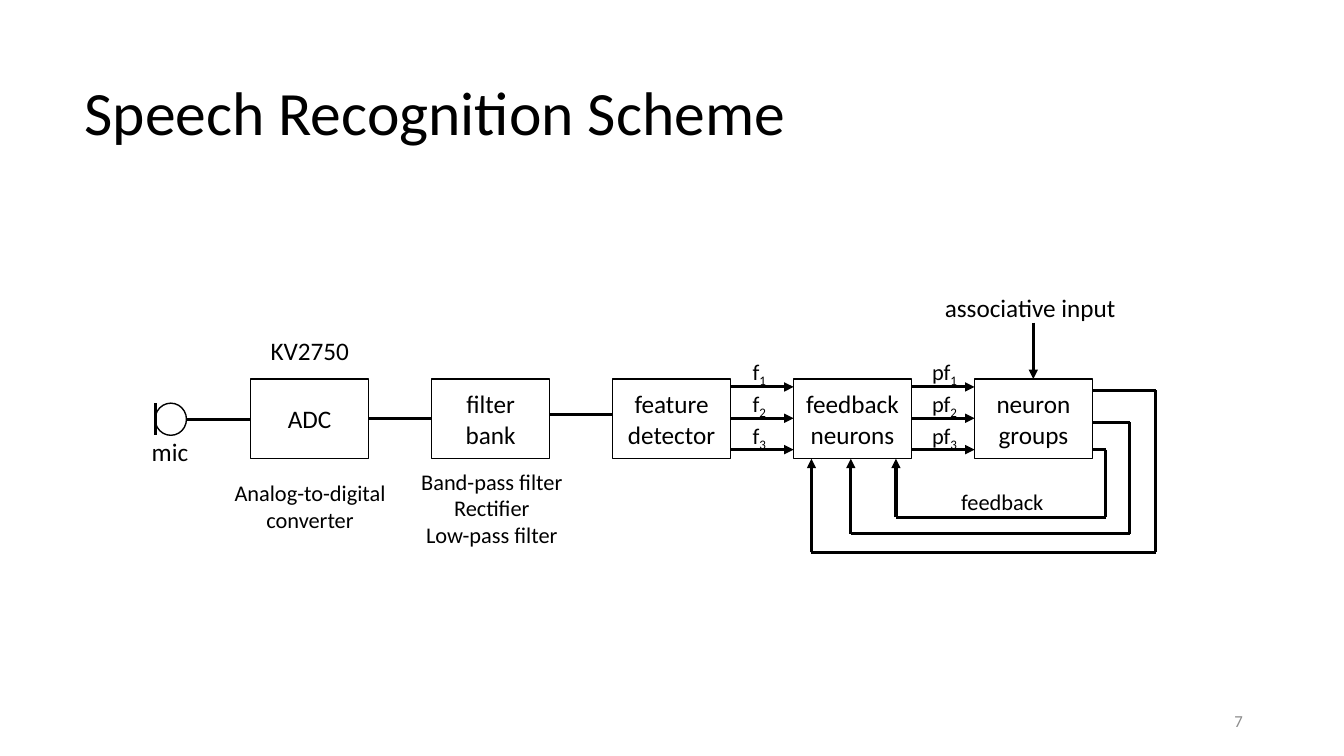
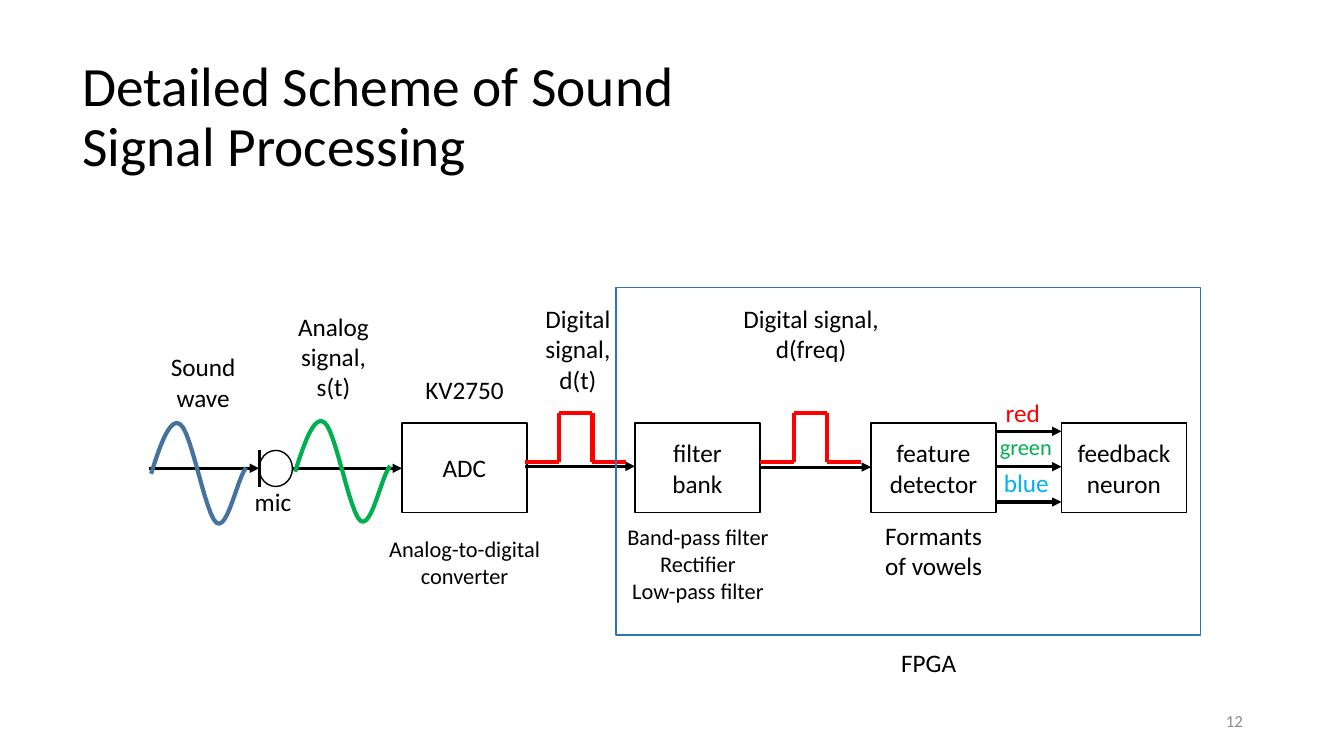
from dataclasses import dataclass
from itertools import pairwise

from lxml.etree import SubElement
from pptx import Presentation
from pptx.dml.color import RGBColor
from pptx.enum.shapes import MSO_CONNECTOR as CONN, MSO_SHAPE as SHAPE
from pptx.enum.text import MSO_ANCHOR as ANCHOR, PP_ALIGN as ALIGN
from pptx.oxml.ns import qn
from pptx.util import Cm, Pt


@dataclass(frozen=True)
class Theme:
    """Colours, type sizes and line widths of the deck."""
    font: str = "Calibri"
    black: str = "000000"
    gray: str = "8C8C8C"
    red: str = "FF0000"
    green: str = "00B050"
    sky: str = "00B0F0"
    wave_blue: str = "43739E"
    frame_blue: str = "2E75B6"
    body: float = 18
    small: float = 16
    number: float = 12
    thin: float = 1
    wire: float = 2.25
    signal: float = 3


T = Theme()
CHIP = "KV2750"
CONVERTER = "Analog-to-digital converter"
FILTERS = "Band-pass filter\nRectifier\nLow-pass filter"
FILTER_INSET = 0.7

# Cubic curve of one sound period: start point, then three points a segment
WAVE = [(0, 0), (0.23, -0.74), (0.48, -1.45), (0.74, -1.24), (1.02, -1.04),
        (1.37, 1.04), (1.65, 1.24), (1.93, 1.42), (2.16, 0.15), (2.39, -0.15)]
PULSE = [(0, 0), (0.86, 0), (0.86, -1.24), (1.7, -1.24), (1.7, 0), (2.54, 0)]


def add_run(p, text, size, color=T.black, subscript=False):
    """Append one formatted run to a paragraph."""
    r = p.add_run()
    r.text = text
    r.font.name, r.font.size = T.font, Pt(size)
    r.font.color.rgb = RGBColor.from_string(color)
    if subscript:
        r._r.get_or_add_rPr().set("baseline", "-25000")


def add_label(s, at, text, size=T.body, color=T.black, wrap=False,
              sub="", align=ALIGN.CENTER, anchor=ANCHOR.TOP, spacing=None):
    """Add a text box, one paragraph a line, with an optional subscript."""
    tf = s.shapes.add_textbox(*map(Cm, at)).text_frame
    tf.word_wrap, tf.vertical_anchor = wrap, anchor
    for i, line in enumerate(text.split("\n")):
        p = tf.add_paragraph() if i else tf.paragraphs[0]
        p.alignment, p.line_spacing = align, spacing
        add_run(p, line, size, color)
    if sub:
        add_run(p, sub, size, color, subscript=True)


def add_outline(s, kind, at, color=T.black):
    """Add an unfilled preset shape with a thin line."""
    sp = s.shapes.add_shape(kind, *map(Cm, at))
    sp.shadow.inherit = False
    sp.fill.background()
    sp.line.color.rgb = RGBColor.from_string(color)
    sp.line.width = Pt(T.thin)
    return sp


def add_block(s, at, text, inset=0):
    """Add a block of the diagram with its centred name."""
    tf = add_outline(s, SHAPE.RECTANGLE, at).text_frame
    tf.word_wrap, tf.vertical_anchor = True, ANCHOR.MIDDLE
    tf.margin_left = tf.margin_right = Cm(inset)
    tf.margin_top = tf.margin_bottom = 0
    p = tf.paragraphs[0]
    p.alignment = ALIGN.CENTER
    add_run(p, text, T.body)


def add_wire(s, points, color=T.black, width=T.wire, arrow=False):
    """Join points with straight connectors; the last may get an arrowhead."""
    for start, end in pairwise(points):
        c = s.shapes.add_connector(CONN.STRAIGHT, *map(Cm, start + end))
        c.line.color.rgb = RGBColor.from_string(color)
        c.line.width = Pt(width)
        if arrow and end == points[-1]:
            SubElement(c.line._get_or_add_ln(), qn("a:tailEnd"), type="triangle")
        SubElement(c._element.spPr, qn("a:effectLst"))


def add_arrows(s, left, right, top, pitch):
    """Add three parallel arrows."""
    for i in range(3):
        y = top + i * pitch
        add_wire(s, [(left, y), (right, y)], arrow=True)


def add_mic(s, x, y, w, h):
    """Add the microphone symbol."""
    add_outline(s, SHAPE.OVAL, (x, y, w, h))
    add_wire(s, [(x, y), (x, y + h)])


def bezier(a, b, c, d, t):
    """Return the point of a cubic curve at t."""
    u = 1 - t
    return tuple(u**3 * i + 3 * u * u * t * j + 3 * u * t * t * k + t**3 * m
                 for i, j, k, m in zip(a, b, c, d))


def add_wave(s, x, y, color):
    """Add one period of a sound wave that starts at x, y."""
    curve = [bezier(*WAVE[i:i + 4], step / 12)
             for i in (0, 3, 6) for step in range(1, 13)]
    points = [(Cm(x + dx), Cm(y + dy)) for dx, dy in curve]
    builder = s.shapes.build_freeform(Cm(x), Cm(y))
    builder.add_line_segments(points, close=False)
    sp = builder.convert_to_shape()
    sp.shadow.inherit = False
    sp.fill.background()
    sp.line.color.rgb = RGBColor.from_string(color)
    sp.line.width = Pt(T.signal)


def add_pulse(s, x, y):
    """Add a digital pulse that starts at x, y."""
    add_wire(s, [(x + dx, y + dy) for dx, dy in PULSE], T.red, T.signal)


def new_slide(prs, title, at, size, number):
    """Add a blank slide with a title and a slide number."""
    s = prs.slides.add_slide(prs.slide_layouts[6])
    add_label(s, at, title, size, wrap=True, align=ALIGN.LEFT,
              anchor=ANCHOR.MIDDLE, spacing=0.9)
    add_label(s, (23.95, 17.65, 7.62, 1.02), number, T.number, T.gray,
              wrap=True, align=ALIGN.RIGHT, anchor=ANCHOR.MIDDLE)
    return s


def recognition_slide(prs):
    """Build the speech recognition scheme."""
    s = new_slide(prs, "Speech Recognition Scheme",
                  (1.88, 1.07, 29.21, 3.68), 44, "7")
    top, w, h = 9.55, 2.97, 2.01
    names = ["ADC", "filter bank", "feature detector", "feedback neurons",
             "neuron groups"]
    lefts = [6.32 + 4.56 * i for i in range(len(names))]
    adc, bank, detector, feedback, groups = lefts
    for x, name in zip(lefts, names):
        add_block(s, (x, top, w, h), name,
                  FILTER_INSET if x == bank else 0)

    add_mic(s, 3.91, 10.16, 0.79, 0.81)
    for left, right, y in [(4.7, adc, 10.57), (adc + w, bank, 10.54),
                           (bank + w, detector, 10.44)]:
        add_wire(s, [(left, y), (right, y)])
    for left, right, x, label_w, name in [
            (detector + w, feedback, 18.69, 0.89, "f"),
            (feedback + w, groups, 23.22, 1.17, "pf")]:
        add_arrows(s, left, right, 9.75, 0.79)
        for i in range(3):
            add_label(s, (x, 8.89 + 0.81 * i, label_w, 0.94), name, T.small,
                      sub=str(i + 1))
    for left, bottom, right, y in [(22.58, 13.04, 27.86, 11.33),
                                   (21.44, 13.45, 28.47, 10.64),
                                   (20.45, 13.92, 29.13, 9.83)]:
        add_wire(s, [(groups + w, y), (right, y), (right, bottom),
                     (left, bottom), (left, top + h)], arrow=True)
    add_wire(s, [(26.04, 8.13), (26.04, top)], arrow=True)

    add_label(s, (3.56, 10.87, 1.45, 1.02), "mic")
    add_label(s, (6.35, 8.33, 2.92, 1.02), CHIP)
    add_label(s, (23.46, 7.24, 5, 1.02), "associative input")
    add_label(s, (23.95, 12.17, 2.62, 0.94), "feedback", T.small)
    add_label(s, (5.26, 11.94, 5.11, 1.63), CONVERTER, T.small, wrap=True)
    add_label(s, (10.16, 11.66, 4.47, 2.31), FILTERS, T.small, wrap=True)


def processing_slide(prs):
    """Build the detailed scheme of sound signal processing."""
    s = new_slide(prs, "Detailed Scheme of Sound Signal Processing",
                  (1.83, 1.14, 16.64, 3.68), 39.6, "12")
    top, w, h = 10.66, 3.15, 2.26
    adc, bank, detector, feedback = lefts = [10.13, 16, 21.95, 26.75]
    names = ["ADC", "filter bank", "feature detector", "feedback neuron"]
    for x, name in zip(lefts, names):
        add_block(s, (x, top, w, h), name,
                  FILTER_INSET if x == bank else 0)

    add_mic(s, 6.53, 11.35, 0.84, 0.91)
    for left, right, y in [(3.76, 6.53, 11.8), (7.37, adc, 11.8),
                           (13.23, bank, 11.75), (19.18, detector, 11.77)]:
        add_wire(s, [(left, y), (right, y)], arrow=True)
    add_arrows(s, detector + w, feedback, 10.87, 0.89)
    add_wave(s, 3.81, 11.94, T.wave_blue)
    add_wave(s, 7.44, 11.89, T.green)
    for x in (13.23, 19.15):
        add_pulse(s, x, 11.65)

    for at, text in [((3.99, 8.74, 2.26, 2.03), "Sound wave"),
                     ((7.11, 7.72, 2.59, 2.9), "Analog signal, s(t)"),
                     ((13.36, 7.52, 2.41, 2.9), "Digital signal, d(t)"),
                     ((18.47, 7.52, 3.94, 2.9), "Digital signal, d(freq)")]:
        add_label(s, at, text, wrap=True)
    add_label(s, (6.12, 12.14, 1.52, 1.17), "mic")
    add_label(s, (10.16, 9.3, 3.1, 1.17), CHIP)
    add_label(s, (9.02, 13.36, 5.38, 1.83), CONVERTER, T.small, wrap=True)
    add_label(s, (15.24, 13.06, 4.7, 2.59), FILTERS, T.small, wrap=True)
    add_label(s, (21.97, 12.98, 3.12, 2.03), "Formants\nof vowels")
    add_label(s, (25.04, 9.88, 1.47, 1.17), "red", color=T.red)
    add_label(s, (24.89, 10.8, 1.93, 1.07), "green", T.small, T.green)
    add_label(s, (24.99, 11.66, 1.75, 1.17), "blue", color=T.sky)
    add_outline(s, SHAPE.RECTANGLE, (15.52, 7.24, 14.73, 8.76), T.frame_blue)
    add_label(s, (22.4, 16.18, 2.01, 1.17), "FPGA")


def main():
    """Build and save the deck."""
    prs = Presentation()
    prs.slide_width, prs.slide_height = Cm(33.87), Cm(19.05)
    recognition_slide(prs)
    processing_slide(prs)
    prs.save("out.pptx")


main()
